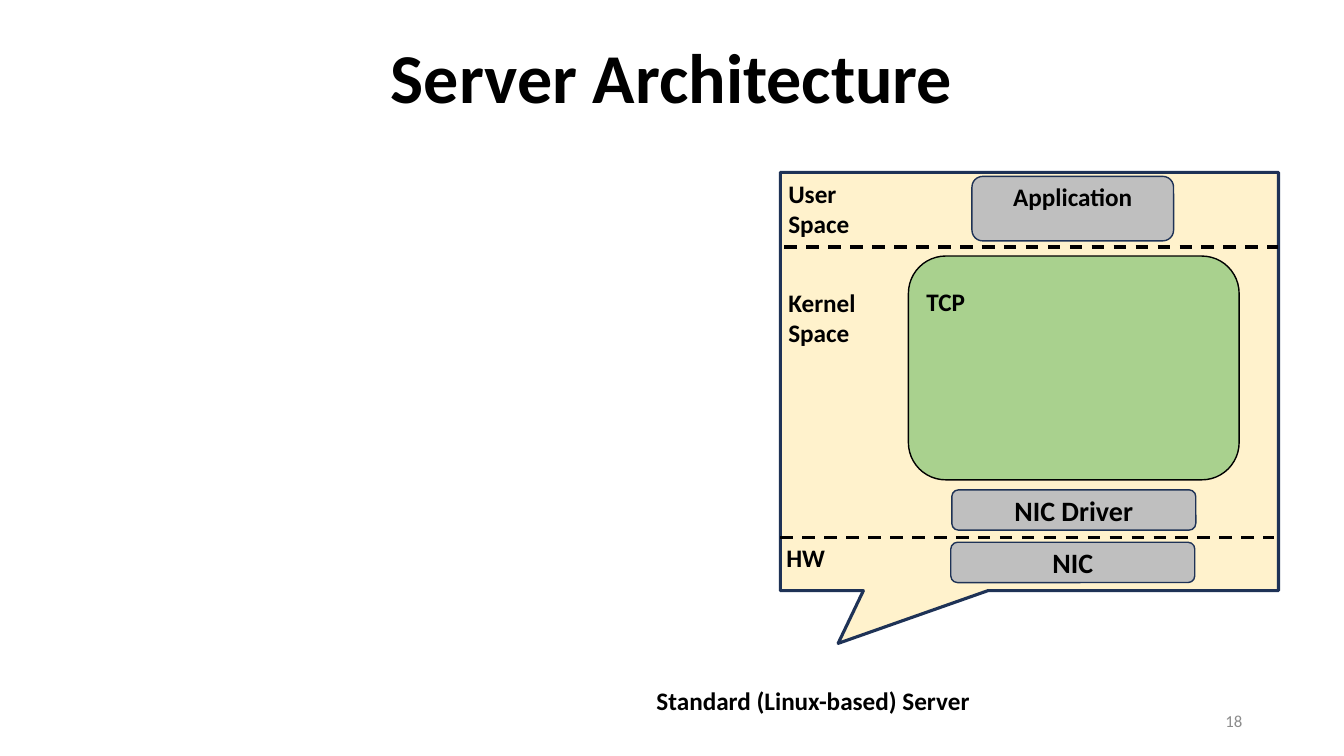
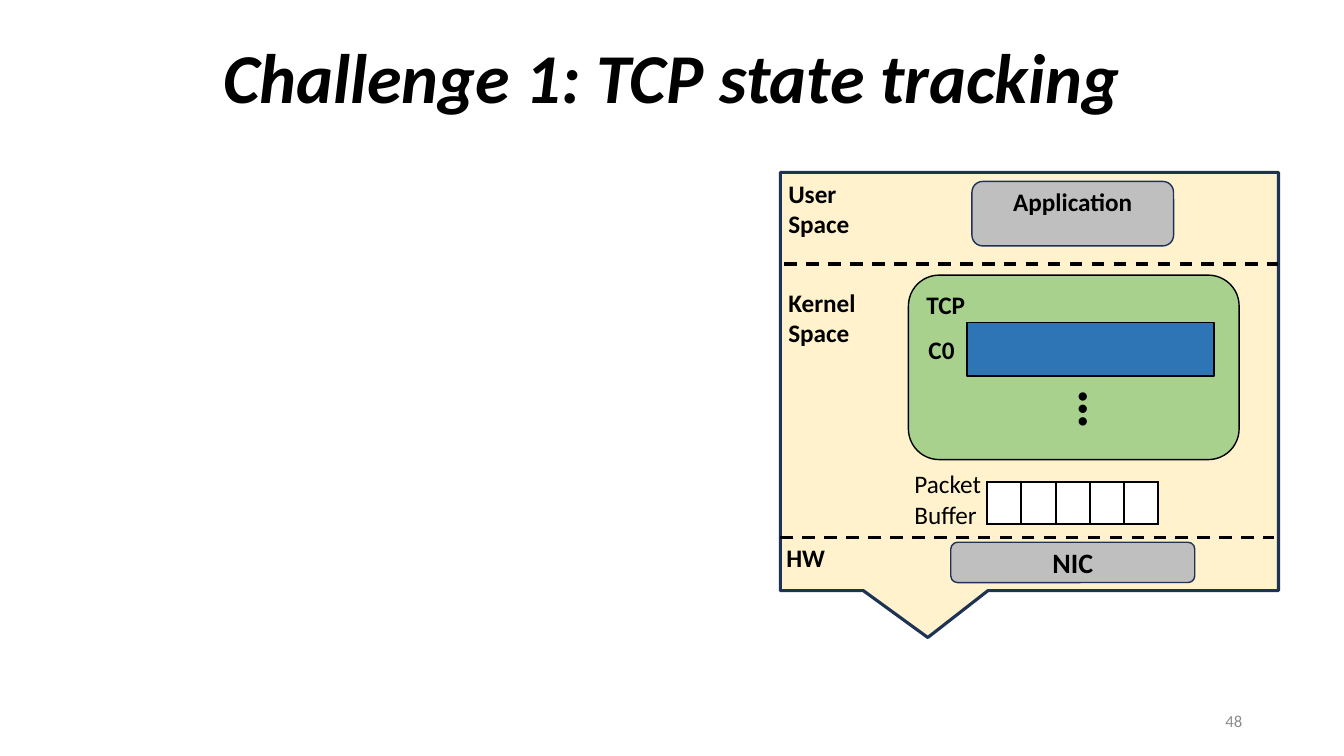
from lxml import etree
from pptx import Presentation
from pptx.dml.color import RGBColor
from pptx.enum import dml, shapes, text
from pptx.oxml import ns
from pptx.util import Inches, Pt

BLACK = RGBColor(0x00, 0x00, 0x00)
WHITE = RGBColor(0xFF, 0xFF, 0xFF)
NAVY = RGBColor(0x1E, 0x32, 0x56)
CREAM = RGBColor(0xFF, 0xF2, 0xCC)
GRAY = RGBColor(0xBF, 0xBF, 0xBF)
GREEN = RGBColor(0xA9, 0xD1, 0x8E)
BLUE = RGBColor(0x2E, 0x75, 0xB6)
NUMBER_GRAY = RGBColor(0x8C, 0x8C, 0x8C)
FONT = "Calibri"
SHAPE = shapes.MSO_SHAPE
ALIGN = text.PP_ALIGN
ANCHOR = text.MSO_ANCHOR


class SlideBuilder:
    def __init__(self):
        self.deck = Presentation()
        self.deck.slide_width = Inches(13.33)
        self.deck.slide_height = Inches(7.5)
        self.page = None

    def set_text(self, box, words, size=18, bold=True, italic=False,
                 color=BLACK, align=ALIGN.LEFT, anchor=ANCHOR.TOP):
        frame = box.text_frame
        frame.text = words
        frame.word_wrap = True
        frame.vertical_anchor = anchor
        for para in frame.paragraphs:
            para.alignment = align
            for span in para.runs:
                font = span.font
                font.name = FONT
                font.size = Pt(size)
                font.bold = bold
                font.italic = italic
                font.color.rgb = color
        return frame

    def new_page(self, title, number, italic=False):
        self.page = self.deck.slides.add_slide(self.deck.slide_layouts[5])
        box = self.page.shapes.title
        box.left, box.top = Inches(0), Inches(0.08)
        box.width, box.height = Inches(13.33), Inches(1.45)
        frame = self.set_text(box, title, 50, italic=italic,
                              align=ALIGN.CENTER, anchor=ANCHOR.MIDDLE)
        frame.auto_size = text.MSO_AUTO_SIZE.NONE
        frame.paragraphs[0].line_spacing = 0.9
        self.label(number, 9.42, 6.95, 3, 0.4, size=12, bold=False,
                   color=NUMBER_GRAY, align=ALIGN.RIGHT, anchor=ANCHOR.MIDDLE)

    def label(self, words, left, top, width=2.15, height=0.4, **style):
        box = self.page.shapes.add_textbox(
            Inches(left), Inches(top), Inches(width), Inches(height))
        self.set_text(box, words, **style)
        return box

    def block(self, kind, left, top, width, height, fill, line=BLACK, weight=1):
        box = self.page.shapes.add_shape(
            kind, Inches(left), Inches(top), Inches(width), Inches(height))
        box.shadow.inherit = False
        box.fill.solid()
        box.fill.fore_color.rgb = fill
        box.line.color.rgb = line
        box.line.width = Pt(weight)
        return box

    def component(self, words, left, top, width=2.42, height=0.4,
                  size=20, anchor=ANCHOR.MIDDLE):
        box = self.block(SHAPE.ROUNDED_RECTANGLE, left, top, width, height,
                         GRAY, NAVY)
        frame = self.set_text(box, words, size, align=ALIGN.CENTER,
                              anchor=anchor)
        frame.margin_top = frame.margin_bottom = Inches(0.02)

    def divider(self, left, top, width=4.9):
        line = self.page.shapes.add_connector(
            shapes.MSO_CONNECTOR.STRAIGHT, Inches(left), Inches(top),
            Inches(left + width), Inches(top))
        line.line.color.rgb = BLACK
        line.line.width = Pt(2.25)
        line.line.dash_style = dml.MSO_LINE.DASH
        etree.SubElement(line._element.spPr, ns.qn("a:effectLst"))

    def border(self, cell, weight):
        properties = cell._tc.get_or_add_tcPr()
        for index, side in enumerate(("lnL", "lnR", "lnT", "lnB")):
            edge = etree.Element(ns.qn(f"a:{side}"), w=str(Pt(weight)))
            fill = etree.SubElement(edge, ns.qn("a:solidFill"))
            etree.SubElement(fill, ns.qn("a:srgbClr"), val=str(BLACK))
            properties.insert(index, edge)

    def buffer(self, left, top, slots, slot_width, height):
        table = self.page.shapes.add_table(
            1, slots, Inches(left), Inches(top),
            Inches(slots * slot_width), Inches(height)).table
        table.first_row = table.horz_banding = False
        for column in table.columns:
            column.width = Inches(slot_width)
        for cell in table.iter_cells():
            cell.fill.solid()
            cell.fill.fore_color.rgb = WHITE
            self.border(cell, 1.5)

    def server(self, tip, application_top, user_divider, tcp_top, tcp_height,
               tcp_label):
        callout = self.block(SHAPE.RECTANGULAR_CALLOUT, 7.74, 1.71, 4.94, 4.15,
                             CREAM, NAVY, 2.25)
        callout.adjustments[0], callout.adjustments[1] = tip
        self.component("Application", 9.64, application_top, 2, 0.64, 18,
                       ANCHOR.TOP)
        self.component("NIC", 9.43, 5.38)
        self.block(SHAPE.ROUNDED_RECTANGLE, 9.01, tcp_top, 3.28, tcp_height,
                   GREEN)
        self.label("User\nSpace", 7.72, 1.72, height=0.71)
        self.label("Kernel\nSpace", 7.72, 2.8, 0.95, 0.71)
        self.label("HW", 7.7, 5.33)
        self.label("TCP", 9.09, tcp_label)
        self.divider(7.78, user_divider)
        self.divider(7.74, 5.33)


def main():
    builder = SlideBuilder()

    builder.new_page("Server Architecture", "18")
    builder.server((-0.384, 0.626), application_top=1.75, user_divider=2.45,
                   tcp_top=2.54, tcp_height=2.22, tcp_label=2.79)
    builder.component("NIC Driver", 9.44, 4.86)
    builder.label("Standard (Linux-based) Server", 6.37, 6.75, 3.39,
                  align=ALIGN.CENTER)

    builder.new_page("Challenge 1: TCP state tracking", "48", italic=True)
    builder.server((-0.204, 0.612), application_top=1.8, user_divider=2.62,
                   tcp_top=2.73, tcp_height=1.83, tcp_label=2.82)
    builder.label("Packet\nBuffer", 8.97, 4.6, height=0.71, bold=False)
    builder.buffer(9.79, 4.78, slots=5, slot_width=0.34, height=0.42)
    builder.block(SHAPE.RECTANGLE, 9.59, 3.2, 2.45, 0.53, BLUE)
    builder.label("C0", 9.11, 3.27, 0.95)
    ellipsis = builder.label("…", 10.45, 3.86, 0.95, 0.77, size=40)
    ellipsis.rotation = 90

    builder.deck.save("out.pptx")


if __name__ == "__main__":
    main()
